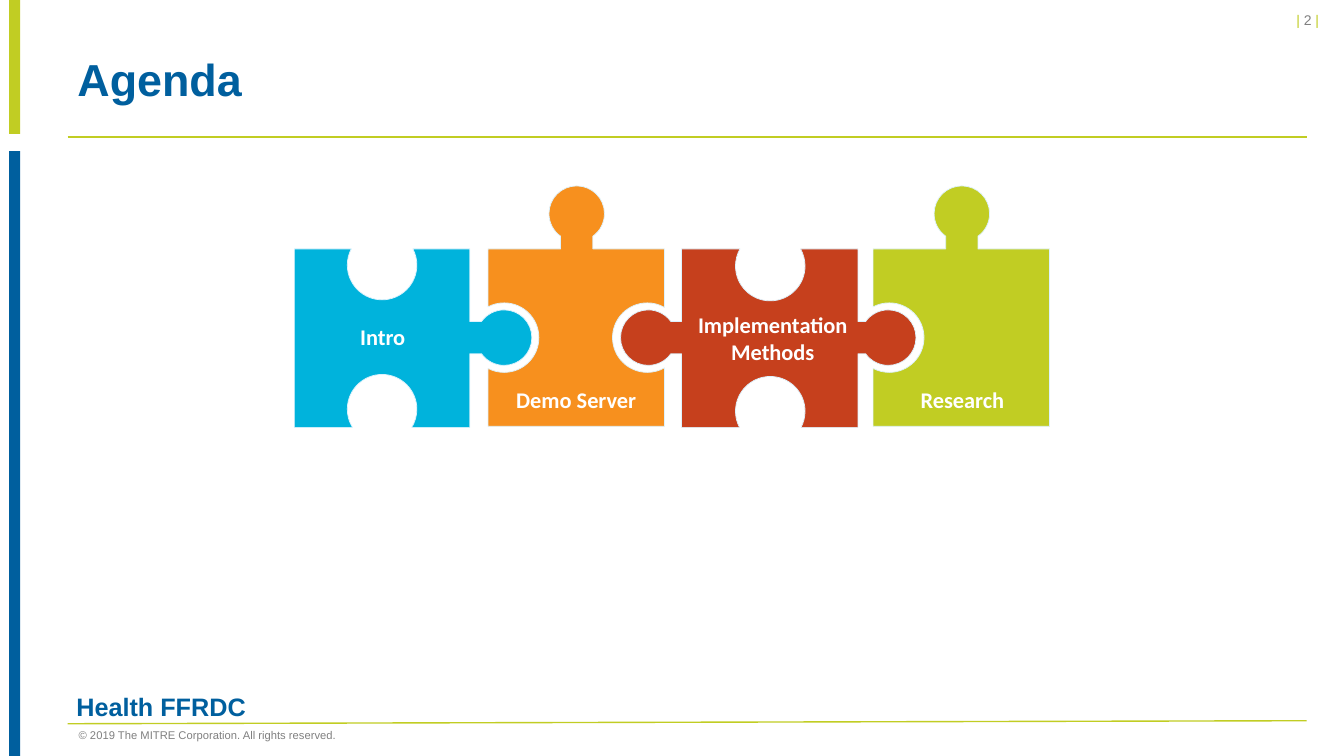
import math

import pptx
import pptx.dml.color
import pptx.enum.shapes
import pptx.enum.text
import pptx.oxml
import pptx.oxml.ns
import pptx.util

Inches = pptx.util.Inches
ALIGN = pptx.enum.text.PP_ALIGN
ANCHOR = pptx.enum.text.MSO_ANCHOR

THEME = {
    "lime": "C1CD23", "navy": "005F9E", "gray": "808080", "white": "FFFFFF",
    "cyan": "00B3DC", "orange": "F7901E", "red": "C6401D", "outline": "DDF2FD",
    "title": {"name": "Arial", "size": 32, "bold": True},
    "footer": {"name": "Arial", "size": 18, "bold": True},
    "page": {"name": "Arial", "size": 10, "bold": False},
    "copyright": {"name": "Arial", "size": 8, "bold": False},
    "piece": {"name": "Calibri", "size": 16, "bold": True},
}

BARS = [(0, 1.33, "lime"), (1.5, 6, "navy")]
RULES = [(1.36, 1.36), (7.18, 7.15)]

PIECES = [
    {"color": "red", "body": (6.76, 2.47, 8.51, 4.24),
     "top": ("notch", 7.64, 2.64), "right": ("tab", 8.81, 3.35),
     "bottom": ("notch", 7.64, 4.08), "left": ("tab", 6.43, 3.35)},
    {"color": "cyan", "body": (2.92, 2.47, 4.66, 4.24),
     "top": ("notch", 3.79, 2.63), "right": ("tab", 5.0, 3.35),
     "bottom": ("notch", 3.79, 4.06)},
    {"color": "orange", "body": (4.84, 2.47, 6.59, 4.23),
     "top": ("tab", 5.72, 2.12), "right": ("notch", 6.42, 3.35),
     "left": ("notch", 5.0, 3.35)},
    {"color": "lime", "body": (8.66, 2.47, 10.41, 4.23),
     "top": ("tab", 9.54, 2.12), "left": ("notch", 8.82, 3.35)},
]

TEXTS = [
    {"box": (10.88, 0.07, 2.34, 0.27), "style": "page", "align": ALIGN.RIGHT,
     "runs": [("| ", "lime"), ("2 ", "gray"), ("| ", "lime")]},
    {"box": (0.78, 7.21, 4.79, 0.16), "style": "copyright", "inset": 0,
     "anchor": ANCHOR.MIDDLE,
     "runs": [("© 2019 The MITRE Corporation. All rights reserved.", "gray")]},
    {"box": (0.66, 6.84, 9.47, 0.27), "style": "footer", "spacing": 0.9,
     "runs": [("Health FFRDC", "navy")]},
    {"box": (0.67, 0.4, 12.29, 0.82), "style": "title", "spacing": 0.9,
     "anchor": ANCHOR.MIDDLE, "runs": [("Agenda", "navy")]},
]
LABELS = [
    ("Intro", (2.97, 3.16, 1.65, 0.37)),
    ("Demo Server", (4.89, 3.78, 1.65, 0.37)),
    ("Implementation Methods", (6.81, 3.04, 1.71, 0.64)),
    ("Research", (8.72, 3.78, 1.65, 0.37)),
]

NOTCH_RADIUS, TAB_RADIUS, NECK = 0.69 / 2, 0.55 / 2, 0.16
DIRECTIONS = {"top": (1, 0), "right": (0, 1), "bottom": (-1, 0), "left": (0, -1)}


def rgb(name):
    return pptx.dml.color.RGBColor.from_string(THEME[name])


def arc(radius, angles):
    def at(angle, pull=0.0):
        return (radius * (math.cos(angle) - pull * math.sin(angle)),
                radius * (math.sin(angle) + pull * math.cos(angle)))

    steps = [[at(angles[0])]]
    for a, b in zip(angles, angles[1:]):
        pull = 4 / 3 * math.tan((b - a) / 4)
        steps.append([at(a, pull), at(b, -pull), at(b)])
    return steps


def joint_steps(joint, corner, direction):
    kind, cx, cy = joint
    dx, dy = direction
    nx, ny = dy, -dx
    edge = (corner[0] - cx) * nx + (corner[1] - cy) * ny
    half, full = math.pi / 2, math.pi
    if kind == "notch":
        tilt = math.asin(edge / NOTCH_RADIUS)
        local = arc(NOTCH_RADIUS, [full - tilt, full, 3 * half, 2 * full, 2 * full + tilt])
    else:
        tilt = math.acos(NECK / TAB_RADIUS)
        knob = arc(TAB_RADIUS, [full + tilt, full, half, 0, -tilt])
        local = [[(-NECK, edge)], *knob, [(NECK, edge)]]
    return [[(cx + a * dx + h * nx, cy + a * dy + h * ny) for a, h in step]
            for step in local]


def piece_steps(piece):
    x1, y1, x2, y2 = piece["body"]
    corners = [(x1, y1), (x2, y1), (x2, y2), (x1, y2)]
    steps = []
    for corner, (side, direction) in zip(corners, DIRECTIONS.items()):
        steps.append([corner])
        if side in piece:
            steps += joint_steps(piece[side], corner, direction)
    return steps


def add_piece(s, piece):
    steps = piece_steps(piece)
    start, *rest = [(Inches(x), Inches(y)) for step in steps for x, y in step]
    outline = s.shapes.build_freeform(*start)
    outline.add_line_segments(rest, close=True)
    sp = outline.convert_to_shape()
    nodes = iter(list(sp._element.iter(pptx.oxml.ns.qn("a:lnTo"))))
    for step in steps[1:]:
        group = [next(nodes) for _ in step]
        if len(group) == 3:
            curve = pptx.oxml.parse_xml(
                f'<a:cubicBezTo {pptx.oxml.ns.nsdecls("a")}/>')
            group[0].addprevious(curve)
            for node in group:
                curve.append(node[0])
                node.getparent().remove(node)
    paint(sp, piece["color"])
    sp.line.color.rgb = rgb("outline")
    sp.line.width = pptx.util.Pt(0.5)


def paint(sp, color):
    sp.shadow.inherit = False
    sp.fill.solid()
    sp.fill.fore_color.rgb = rgb(color)


def add_text(s, item):
    tf = s.shapes.add_textbox(*map(Inches, item["box"])).text_frame
    frame = {"word_wrap": True, "vertical_anchor": item.get("anchor", ANCHOR.TOP)}
    if "inset" in item:
        for side in DIRECTIONS:
            frame["margin_" + side] = Inches(item["inset"])
    for key, value in frame.items():
        setattr(tf, key, value)
    p = tf.paragraphs[0]
    p.alignment = item.get("align", ALIGN.LEFT)
    p.line_spacing = item.get("spacing", 1.0)
    style = THEME[item["style"]]
    for text, color in item["runs"]:
        r = p.add_run()
        r.text = text
        for key, value in {**style, "size": pptx.util.Pt(style["size"])}.items():
            setattr(r.font, key, value)
        r.font.color.rgb = rgb(color)


def main():
    prs = pptx.Presentation()
    prs.slide_width, prs.slide_height = Inches(13.33), Inches(7.5)
    s = prs.slides.add_slide(prs.slide_layouts[6])

    for top, height, color in BARS:
        sp = s.shapes.add_shape(pptx.enum.shapes.MSO_SHAPE.RECTANGLE,
                                *map(Inches, (0.09, top, 0.11, height)))
        paint(sp, color)
        sp.line.fill.background()

    for y1, y2 in RULES:
        line = s.shapes.add_connector(pptx.enum.shapes.MSO_CONNECTOR.STRAIGHT,
                                      *map(Inches, (0.67, y1, 12.96, y2)))
        line.line.color.rgb = rgb("lime")
        line.line.width = pptx.util.Pt(1)
        line._element.spPr.append(pptx.oxml.parse_xml(
            f'<a:effectLst {pptx.oxml.ns.nsdecls("a")}/>'))

    for piece in PIECES:
        add_piece(s, piece)

    labels = [{"box": box, "style": "piece", "align": ALIGN.CENTER,
               "runs": [(text, "white")]} for text, box in LABELS]
    for item in TEXTS + labels:
        add_text(s, item)

    prs.save("out.pptx")


if __name__ == "__main__":
    main()
